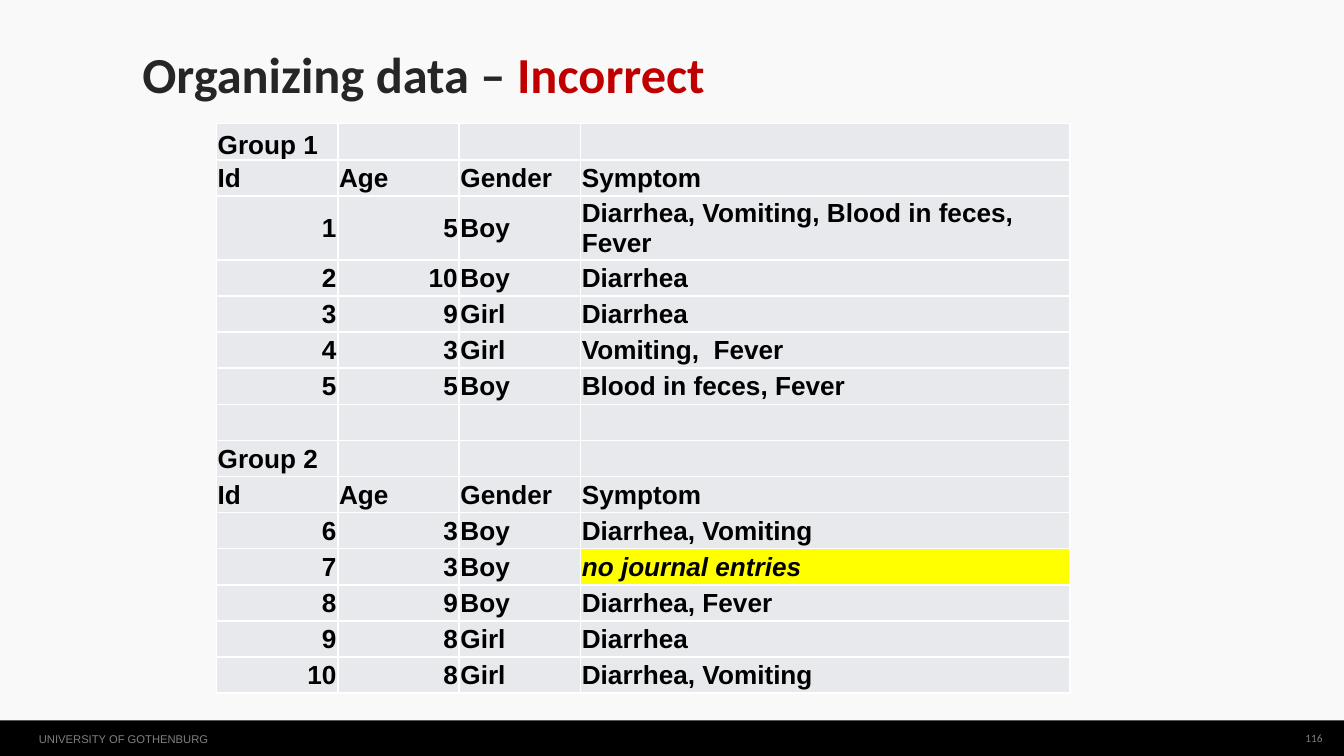
from pptx import Presentation
from pptx.dml.color import RGBColor
from pptx.enum.shapes import MSO_SHAPE as Shape
from pptx.enum.text import MSO_ANCHOR as Anchor, PP_ALIGN as Align
from pptx.util import Inches, Pt

WIDTH = 10
HEIGHT = WIDTH * 9 / 16
COLORS = {
    "background": "F9F9F9", "bar": "000000", "footer": "808080",
    "title": "262626", "warning": "C00000", "text": "000000",
    "cell": "E7E9ED", "highlight": "FFFF00",
}
COLUMN_WEIGHTS = (1, 1, 1, 4.03)
HEADINGS = ("Id", "Age", "Gender", "Symptom")
NO_ENTRY = "no journal entries"
GROUPS = {
    "Group 1": [
        ("1", "5", "Boy", "Diarrhea, Vomiting, Blood in feces, Fever"),
        ("2", "10", "Boy", "Diarrhea"),
        ("3", "9", "Girl", "Diarrhea"),
        ("4", "3", "Girl", "Vomiting,  Fever"),
        ("5", "5", "Boy", "Blood in feces, Fever"),
    ],
    "Group 2": [
        ("6", "3", "Boy", "Diarrhea, Vomiting"),
        ("7", "3", "Boy", NO_ENTRY),
        ("8", "9", "Boy", "Diarrhea, Fever"),
        ("9", "8", "Girl", "Diarrhea"),
        ("10", "8", "Girl", "Diarrhea, Vomiting"),
    ],
}


def rgb(name):
    return RGBColor.from_string(COLORS[name])


def write(paragraph, text, *, size, color="text", font="Arial", bold=False,
          italic=False, align=Align.LEFT):
    """Append one formatted run; empty text only sets the line's size."""
    paragraph.alignment = align
    if not text:
        paragraph.font.size = Pt(size)
        return
    run = paragraph.add_run()
    run.text = text
    run.font.name, run.font.size = font, Pt(size)
    run.font.bold, run.font.italic = bold, italic
    run.font.color.rgb = rgb(color)


def add_line(slide, box, anchor=Anchor.TOP):
    """Add a text box without margins and return its paragraph."""
    frame = slide.shapes.add_textbox(*map(Inches, box)).text_frame
    frame.word_wrap = True
    frame.vertical_anchor = anchor
    frame.margin_left = frame.margin_right = 0
    frame.margin_top = frame.margin_bottom = 0
    return frame.paragraphs[0]


def add_footer(slide, box):
    left, top, width, height = box
    bar = slide.shapes.add_shape(Shape.RECTANGLE, *map(Inches, box))
    bar.shadow.inherit = False
    bar.fill.solid()
    bar.fill.fore_color.rgb = rgb("bar")
    bar.line.fill.background()
    owner = add_line(slide, (left + 0.029 * width, top + 0.32 * height,
                             0.14 * width, 0.5 * height))
    write(owner, "UNIVERSITY OF GOTHENBURG", size=6, color="footer")
    number = add_line(slide, (left + 0.96 * width, top, 0.024 * width, 0.93 * height),
                      Anchor.MIDDLE)
    write(number, "116", size=6, color="footer", font="Calibri", align=Align.RIGHT)


def add_title(slide, box):
    title = add_line(slide, box)
    title.line_spacing = 0.9
    for text, color in (("Organizing data – ", "title"), ("Incorrect", "warning")):
        write(title, text, size=27, color=color, font="Calibri", bold=True)


def fill_cell(cell, text, anchor):
    missing = text == NO_ENTRY
    cell.margin_left = cell.margin_right = cell.margin_top = Inches(0.01)
    cell.margin_bottom = 0
    cell.vertical_anchor = anchor
    cell.fill.solid()
    cell.fill.fore_color.rgb = rgb("highlight" if missing else "cell")
    write(cell.text_frame.paragraphs[0], text, size=14, bold=True, italic=missing,
          align=Align.RIGHT if text.isdigit() else Align.LEFT)


def table_rows():
    """Stack the groups, with an empty row between them."""
    rows = []
    for group, children in GROUPS.items():
        if rows:
            rows.append(("",) * len(HEADINGS))
        rows += [(group, "", "", ""), HEADINGS, *children]
    return rows


def add_patient_table(slide, box):
    """Add the grid; its white rules come from the default table style."""
    rows = table_rows()
    table = slide.shapes.add_table(len(rows), len(HEADINGS), *map(Inches, box)).table
    table.first_row = table.horz_banding = False
    for column, weight in zip(table.columns, COLUMN_WEIGHTS):
        column.width = Inches(box[2] * weight / sum(COLUMN_WEIGHTS))
    for r, values in enumerate(rows):
        table.rows[r].height = Inches(box[3] / len(rows))
        for c, text in enumerate(values):
            fill_cell(table.cell(r, c), text, Anchor.MIDDLE if r else Anchor.BOTTOM)


def main():
    deck = Presentation()
    deck.slide_width, deck.slide_height = Inches(WIDTH), Inches(HEIGHT)
    slide = deck.slides.add_slide(deck.slide_layouts[6])
    slide.background.fill.solid()
    slide.background.fill.fore_color.rgb = rgb("background")
    add_footer(slide, (0, 5.36, WIDTH, 0.28))
    add_title(slide, (1.06, 0.37, 0.65 * WIDTH, 0.65))
    add_patient_table(slide, (1.61, 0.92, 6.35, 4.03))
    deck.save("out.pptx")


if __name__ == "__main__":
    main()
